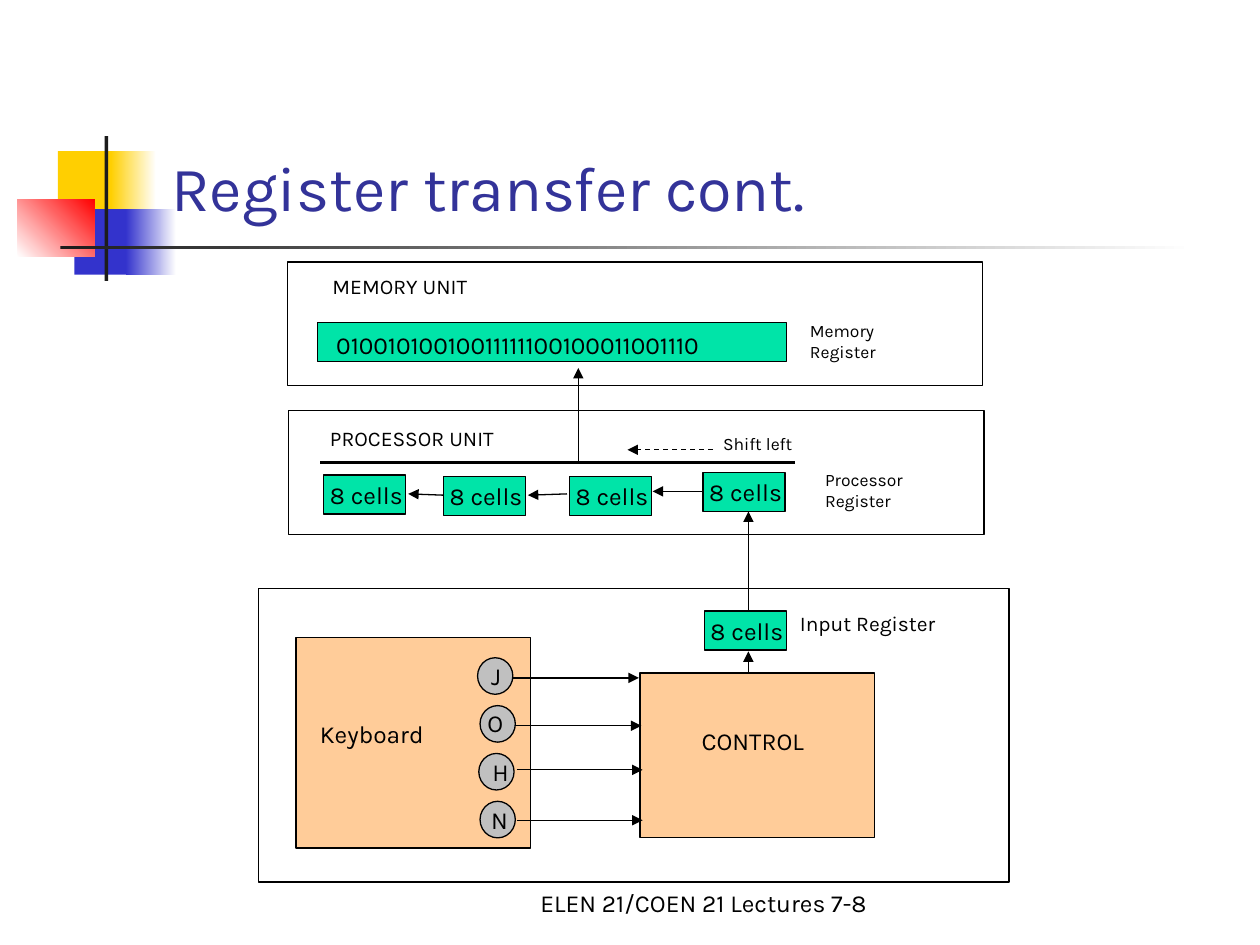
from typing import NamedTuple, Optional

from pptx import Presentation
from pptx import util as u
from pptx.dml.color import RGBColor
from pptx.enum import dml, shapes, text
from pptx.oxml import parse_xml
from pptx.oxml.ns import nsdecls, qn

PX = 9144  # EMU per px: 100 px to the inch
FONT = "Karla"
BLACK, WHITE = "000000", "FFFFFF"
GREEN, ORANGE, GREY = "00E4A8", "FFCC99", "C0C0C0"
YELLOW, BLUE, RED, CHARCOAL = "FFCF01", "3333CC", "FF0000", "1C1C1C"
RECT, OVAL = shapes.MSO_SHAPE.RECTANGLE, shapes.MSO_SHAPE.OVAL
TOP, BOTTOM = text.MSO_ANCHOR.TOP, text.MSO_ANCHOR.BOTTOM
LEFT, CENTER = text.PP_ALIGN.LEFT, text.PP_ALIGN.CENTER


class Box(NamedTuple):
    x: int
    y: int
    w: int
    h: int
    fill: Optional[str] = None
    fade_to: Optional[str] = None
    angle: int = 0
    line: Optional[str] = BLACK
    kind: int = RECT


class Label(NamedTuple):
    words: str
    x: int
    y: int
    w: int
    h: int
    size: int = 14
    color: str = BLACK
    anchor: int = TOP
    align: int = LEFT


class Wire(NamedTuple):
    x1: int
    y1: int
    x2: int
    y2: int
    arrow: bool = True
    dashed: bool = False
    weight: float = 0.75


def rgb(color: str) -> RGBColor:
    return RGBColor.from_string(color)


def draw_box(box: Box) -> None:
    shape = slide.shapes.add_shape(
        box.kind, *(v * PX for v in (box.x, box.y, box.w, box.h)))
    shape.shadow.inherit = False
    if box.fade_to:
        shape.fill.gradient()
        shape.fill.gradient_angle = box.angle
        for stop, color in zip(shape.fill.gradient_stops, (box.fill, box.fade_to)):
            stop.color.rgb = rgb(color)
    elif box.fill:
        shape.fill.solid()
        shape.fill.fore_color.rgb = rgb(box.fill)
    else:
        shape.fill.background()
    if box.line:
        shape.line.color.rgb = rgb(box.line)
        shape.line.width = u.Pt(0.75)
    else:
        shape.line.fill.background()


def draw_label(label: Label) -> None:
    frame = slide.shapes.add_textbox(
        *(v * PX for v in (label.x, label.y, label.w, label.h))).text_frame
    frame.word_wrap = True
    frame.vertical_anchor = label.anchor
    paragraph = frame.paragraphs[0]
    paragraph.text = label.words
    paragraph.alignment = label.align
    paragraph.font.name = FONT
    paragraph.font.size = u.Pt(label.size)
    paragraph.font.color.rgb = rgb(label.color)


def draw_wire(wire: Wire) -> None:
    connector = slide.shapes.add_connector(
        shapes.MSO_CONNECTOR.STRAIGHT,
        *(v * PX for v in (wire.x1, wire.y1, wire.x2, wire.y2)))
    connector.line.color.rgb = rgb(BLACK)
    connector.line.width = u.Pt(wire.weight)
    if wire.dashed:
        connector.line.dash_style = dml.MSO_LINE.DASH
    properties = connector._element.spPr
    if wire.arrow:
        properties.find(qn("a:ln")).append(
            parse_xml(f'<a:tailEnd {nsdecls("a")} type="triangle"/>'))
    properties.append(parse_xml(f'<a:effectLst {nsdecls("a")}/>'))


def draw_cells(x: int, y: int) -> None:
    draw_box(Box(x, y, 65, 31, GREEN))
    draw_label(Label("8 cells", x - 5, y - 1, 91, 33))


prs = Presentation()
prs.slide_width, prs.slide_height = 1000 * PX, 750 * PX
slide = prs.slides.add_slide(prs.slide_layouts[6])

# Corner ornament and rule under the title
ornament = [
    Box(46, 120, 48, 52, YELLOW, line=None),
    Box(88, 120, 36, 52, YELLOW, WHITE, line=None),
    Box(59, 166, 46, 52, BLUE, line=None),
    Box(100, 166, 40, 52, BLUE, WHITE, line=None),
    Box(14, 158, 61, 46, WHITE, RED, angle=45, line=None),
    Box(83, 108, 3, 115, CHARCOAL, line=None),
    Box(48, 195, 900, 3, CHARCOAL, WHITE, line=None),
]

# Units, memory register, keyboard and control
units = [
    Box(228, 208, 552, 98),
    Box(229, 326, 552, 98),
    Box(205, 467, 596, 233),
    Box(252, 256, 372, 31, GREEN),
    Box(235, 506, 186, 167, ORANGE),
    Box(508, 534, 186, 131, ORANGE),
]
for part in ornament + units:
    draw_box(part)

# Processor register cells, then the input register
for cell_x, cell_y in [(257, 377), (352, 378), (452, 378), (558, 375), (559, 485)]:
    draw_cells(cell_x, cell_y)

# Keys: letter, key position, letter position, height of the wire to control
keys = [
    ("J", 379, 522, 380, 520, 407, 538),
    ("O", 381, 560, 377, 557, 409, 576),
    ("H", 380, 598, 381, 596, 410, 611),
    ("N", 381, 636, 380, 634, 410, 651),
]
for letter, key_x, key_y, letter_x, letter_y, wire_x, wire_y in keys:
    draw_box(Box(key_x, key_y, 28, 29, GREY, kind=OVAL))
    draw_label(Label(letter, letter_x, letter_y, 32, 33))
    draw_wire(Wire(wire_x, wire_y, wire_x + 100, wire_y))

# Data path from control up to memory
wires = [
    Wire(594, 533, 594, 517),
    Wire(594, 484, 594, 406),
    Wire(558, 390, 518, 390),
    Wire(450, 392, 419, 393),
    Wire(352, 393, 324, 392),
    Wire(254, 367, 631, 367, arrow=False, weight=1.5),
    Wire(459, 366, 459, 292),
    Wire(566, 357, 498, 357, dashed=True),
]
for wire in wires:
    draw_wire(wire)

# Wording
labels = [
    Label("Register transfer cont.", 126, 23, 852, 160, 36, "333399", BOTTOM),
    Label("MEMORY UNIT", 254, 212, 435, 30, 12),
    Label("01001010010011111100100011001110", 257, 257, 369, 33),
    Label("Memory Register", 633, 249, 95, 43, 10),
    Label("PROCESSOR UNIT", 252, 333, 435, 30, 12),
    Label("Shift left", 564, 339, 94, 27, 10),
    Label("Processor Register", 645, 367, 95, 43, 10),
    Label("Input Register", 625, 480, 161, 30, 12),
    Label("Keyboard", 244, 566, 105, 33),
    Label("CONTROL", 547, 571, 124, 33),
    Label("ELEN 21/COEN 21 Lectures 7-8", 400, 683, 317, 50,
          anchor=BOTTOM, align=CENTER),
]
for label in labels:
    draw_label(label)

prs.save("out.pptx")
